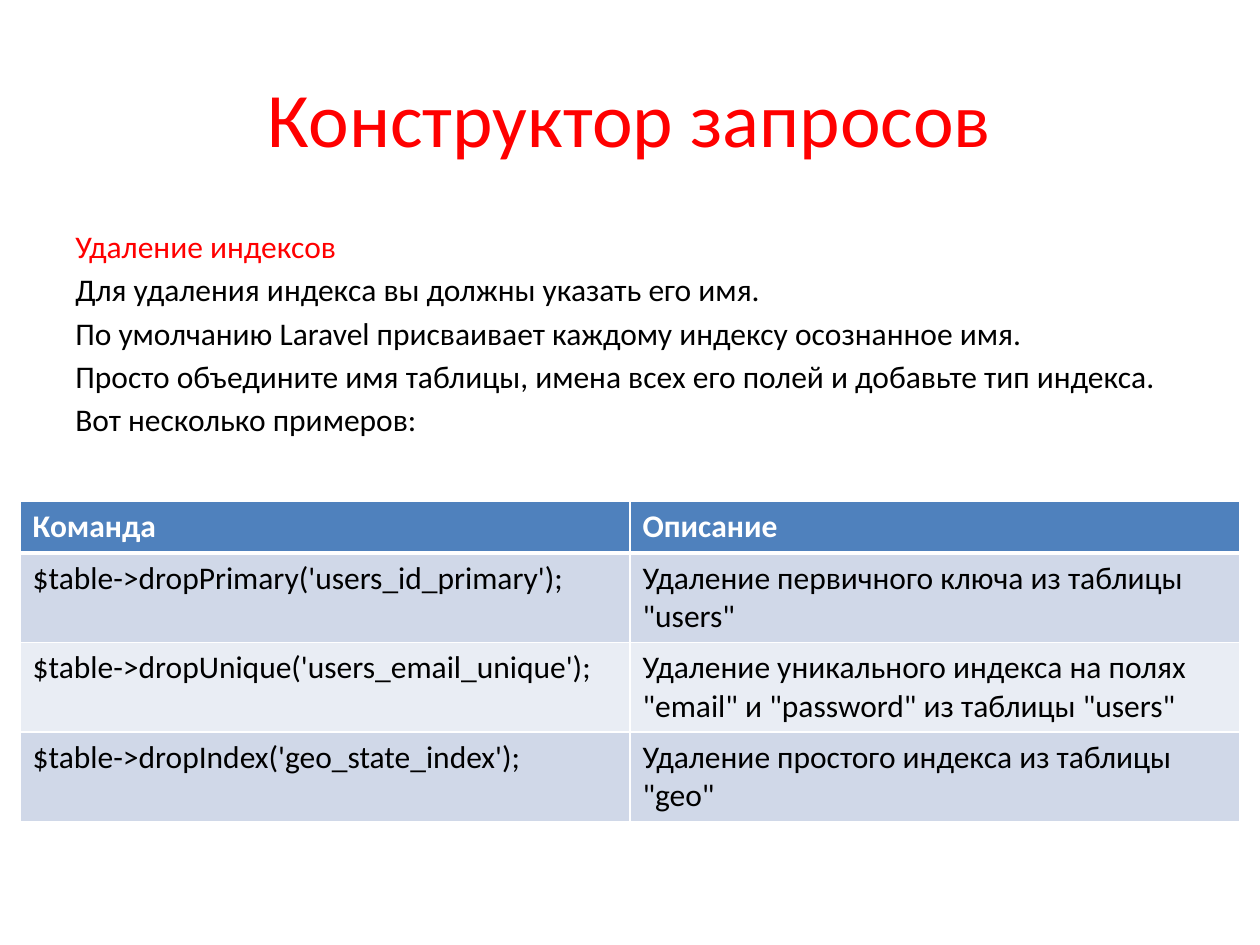
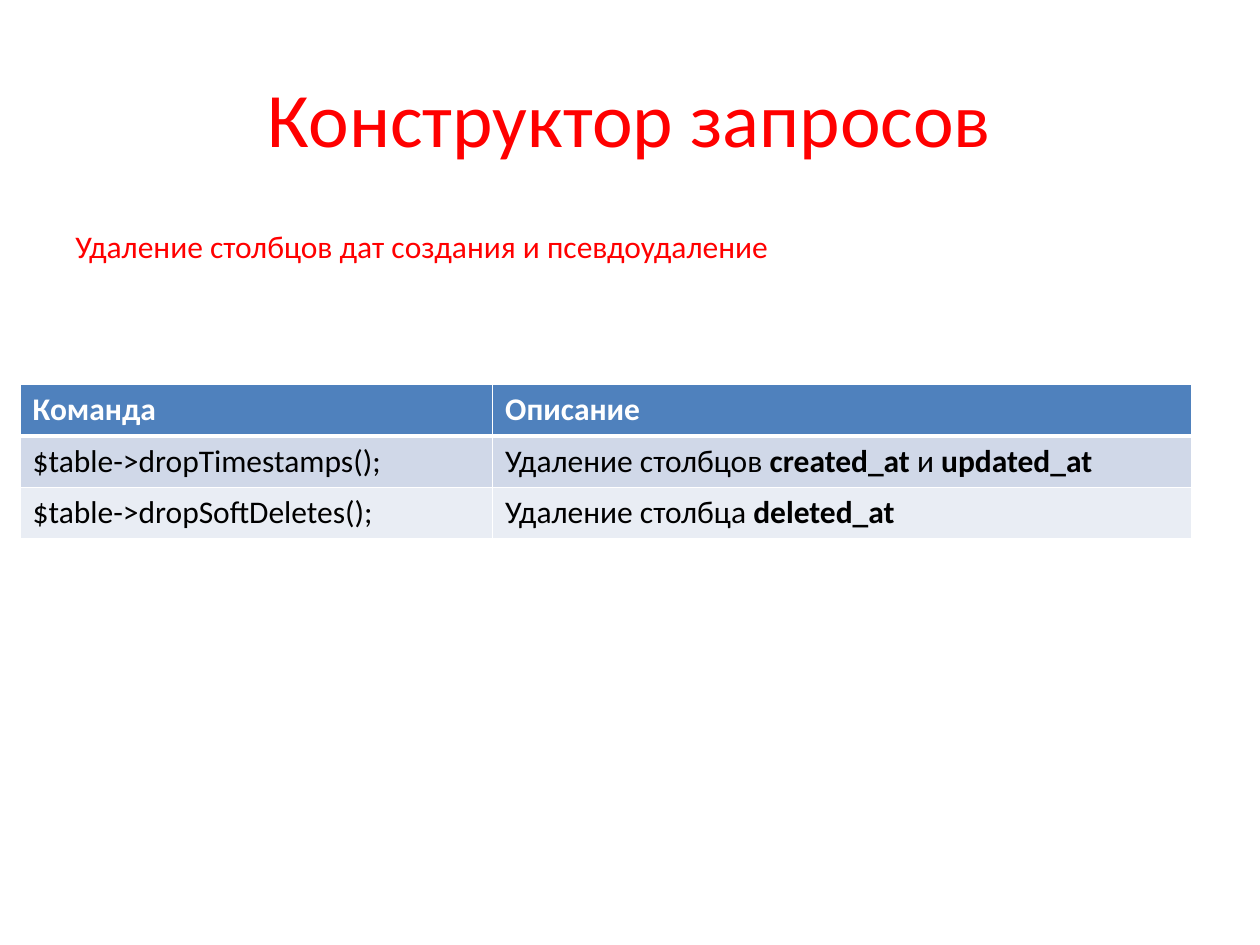
from pptx import Presentation
from pptx.dml.color import RGBColor
from pptx.enum.text import MSO_ANCHOR as Anchor, PP_ALIGN as Align
from pptx.oxml.ns import qn
from pptx.util import Inches, Pt
from lxml.etree import SubElement

# Shared style
RED = RGBColor(0xFF, 0x00, 0x00)
BLACK = RGBColor(0x00, 0x00, 0x00)
WHITE = RGBColor(0xFF, 0xFF, 0xFF)
HEADER_BLUE = RGBColor(0x4F, 0x81, 0xBD)
BANDS = (RGBColor(0xD0, 0xD8, 0xE8), RGBColor(0xE9, 0xED, 0xF4))
FONT = "Calibri"
TITLE_SIZE, TEXT_SIZE = 44, 18

# Grid of 40 columns and 30 rows
COLUMNS, ROWS = 40, 30
TITLE_AREA = (2, 1.2, 36, 5)
BODY_AREA = (2, 7, 36, 19.8)
TABLE_LEFT = 0.64
ONE_LINE, TWO_LINES = 1.64, 2.84
HANGING_INDENT = 1.5

TITLE = "Конструктор запросов"
TABLE_HEADER = ("Команда", "Описание")


class SlideBuilder:
    def __init__(self, deck):
        self.deck = deck
        self.page = None

    def across(self, columns):
        return round(self.deck.slide_width * columns / COLUMNS)

    def down(self, rows):
        return round(self.deck.slide_height * rows / ROWS)

    def area(self, left, top, width, height):
        return self.across(left), self.down(top), self.across(width), self.down(height)

    def span(self, para, text, color=BLACK, size=TEXT_SIZE, bold=False):
        span = para.add_run()
        span.text = text
        font = span.font
        font.name, font.size, font.bold = FONT, Pt(size), bold
        font.color.rgb = color

    def new_page(self, title):
        self.page = self.deck.slides.add_slide(self.deck.slide_layouts[5])
        box = self.page.shapes.title
        box.left, box.top, box.width, box.height = self.area(*TITLE_AREA)
        box.text_frame.vertical_anchor = Anchor.MIDDLE
        para = box.text_frame.paragraphs[0]
        para.alignment = Align.CENTER
        self.span(para, title, RED, TITLE_SIZE)

    def body(self, heading, lines=()):
        frame = self.page.shapes.add_textbox(*self.area(*BODY_AREA)).text_frame
        frame.word_wrap = True
        for index, line in enumerate((heading, *lines)):
            para = frame.add_paragraph() if index else frame.paragraphs[0]
            para.space_after = Pt(3.2)
            indent = self.across(HANGING_INDENT)
            properties = para._p.get_or_add_pPr()
            properties.set("marL", str(indent))
            properties.set("indent", str(-indent))
            self.span(para, line, BLACK if index else RED)

    def borders(self, cell, bottom):
        properties = cell._tc.get_or_add_tcPr()
        for side, points in (("L", 1), ("R", 1), ("T", 1), ("B", bottom)):
            line = SubElement(properties, qn(f"a:ln{side}"), w=str(Pt(points)))
            fill = SubElement(line, qn("a:solidFill"))
            SubElement(fill, qn("a:srgbClr"), val=str(WHITE))

    def cell(self, cell, content, color, fill, header):
        """Fill one cell; in a list of parts every second part is bold."""
        self.borders(cell, bottom=3 if header else 1)
        cell.fill.solid()
        cell.fill.fore_color.rgb = fill
        parts = [content] if isinstance(content, str) else content
        for index, part in enumerate(parts):
            bold = header or index % 2 == 1
            self.span(cell.text_frame.paragraphs[0], part, color, bold=bold)

    def table(self, top, widths, row_height, records):
        rows = (TABLE_HEADER, *records)
        heights = [ONE_LINE] + [row_height] * len(records)
        frame = self.page.shapes.add_table(
            len(rows), len(widths),
            *self.area(TABLE_LEFT, top, sum(widths), sum(heights)))
        table = frame.table
        for column, width in zip(table.columns, widths):
            column.width = self.across(width)
        for index, (row, height, contents) in enumerate(zip(table.rows, heights, rows)):
            row.height = self.down(height)
            header = index == 0
            fill = HEADER_BLUE if header else BANDS[(index - 1) % 2]
            for cell, content in zip(row.cells, contents):
                self.cell(cell, content, WHITE if header else BLACK, fill, header)


def main():
    deck = Presentation()
    deck.slide_width, deck.slide_height = Inches(10), Inches(7.5)
    builder = SlideBuilder(deck)

    # Dropping indexes
    builder.new_page(TITLE)
    builder.body("Удаление индексов", (
        "Для удаления индекса вы должны указать его имя.",
        "По умолчанию Laravel присваивает каждому индексу осознанное имя.",
        "Просто объедините имя таблицы, имена всех его полей и добавьте тип индекса.",
        "Вот несколько примеров:",
    ))
    builder.table(15.92, (19.36, 19.36), TWO_LINES, (
        ("$table->dropPrimary('users_id_primary');",
         'Удаление первичного ключа из таблицы "users"'),
        ("$table->dropUnique('users_email_unique');",
         'Удаление уникального индекса на полях "email" и "password" из таблицы "users"'),
        ("$table->dropIndex('geo_state_index');",
         'Удаление простого индекса из таблицы "geo"'),
    ))

    # Dropping date columns
    builder.new_page(TITLE)
    builder.body("Удаление столбцов дат создания и псевдоудаление")
    builder.table(12.2, (15, 22.2), ONE_LINE, (
        ("$table->dropTimestamps();",
         ("Удаление столбцов ", "created_at", " и ", "updated_at")),
        ("$table->dropSoftDeletes();",
         ("Удаление столбца ", "deleted_at")),
    ))

    deck.save("out.pptx")


if __name__ == "__main__":
    main()
